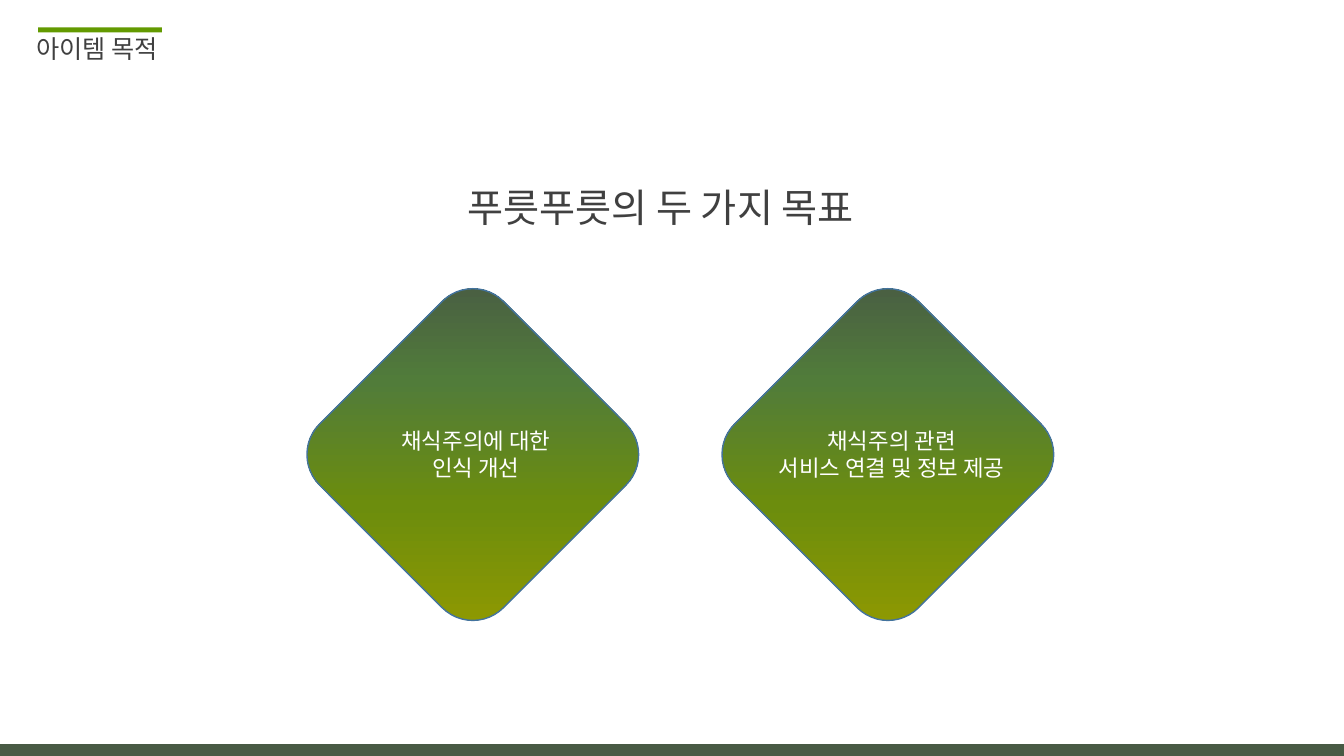
from dataclasses import dataclass
from typing import Any

from lxml import etree
from pptx import Presentation
from pptx.dml.color import RGBColor
from pptx.enum import shapes, text
from pptx.oxml import ns
from pptx.util import Cm, Pt


@dataclass(frozen=True)
class Theme:
    font: str = "Noto Sans CJK KR"
    ink: str = "404040"
    light: str = "FFFFFF"
    accent: str = "639A00"
    dark: str = "485A44"
    outline: str = "43739E"
    gradient: tuple[tuple[int, str], ...] = (
        (0, "929A00"), (36, "6C8D0D"), (70, "517C3A"), (100, "485A44"))
    title: int = 18
    heading: int = 28
    body: int = 16


@dataclass(frozen=True)
class Box:
    left: float
    top: float
    width: float
    height: float

    def emu(self) -> tuple[Cm, Cm, Cm, Cm]:
        return Cm(self.left), Cm(self.top), Cm(self.width), Cm(self.height)


@dataclass(frozen=True)
class Goal:
    left: float
    label: Box
    lines: tuple[str, ...]


THEME = Theme()
DIAMOND_TOP, DIAMOND_SIDE = 8.18, 6.55
BARS = (
    (Box(0.96, 0.69, 3.12, 0.13), THEME.accent),
    (Box(0, 18.75, 33.87, 0.3), THEME.dark),
)
GOALS = (
    Goal(8.64, Box(9.8, 10.64, 4.39, 1.63), ("채식주의에 대한", "인식 개선")),
    Goal(19.1, Box(19.18, 10.64, 6.58, 1.63), ("채식주의 관련", "서비스 연결 및 정보 제공")),
)


def write(sp: Any, *lines: str, size: int, color: str = THEME.ink,
          align: text.PP_ALIGN = text.PP_ALIGN.LEFT) -> None:
    tf = sp.text_frame
    tf.word_wrap = False
    tf.auto_size = text.MSO_AUTO_SIZE.SHAPE_TO_FIT_TEXT
    tf.vertical_anchor = text.MSO_ANCHOR.TOP
    for i, line in enumerate(lines):
        p = tf.add_paragraph() if i else tf.paragraphs[0]
        p.alignment = align
        r = p.add_run()
        r.text = line
        r.font.size = Pt(size)
        r.font.name = THEME.font
        r.font.color.rgb = RGBColor.from_string(color)
        ea = etree.SubElement(r.font._element, ns.qn("a:ea"))
        ea.set("typeface", THEME.font)


def add_bar(parent: Any, box: Box, color: str) -> None:
    sp = parent.add_shape(shapes.MSO_SHAPE.RECTANGLE, *box.emu())
    sp.shadow.inherit = False
    sp.fill.solid()
    sp.fill.fore_color.rgb = RGBColor.from_string(color)
    sp.line.fill.background()


def fill_gradient(sp: Any) -> None:
    sp.fill.gradient()
    sp.fill.gradient_angle = 135
    stops = sp._element.spPr.find(f".//{ns.qn('a:gsLst')}")
    for stop in list(stops):
        stops.remove(stop)
    for percent, color in THEME.gradient:
        stop = etree.SubElement(stops, ns.qn("a:gs"), pos=str(percent * 1000))
        etree.SubElement(stop, ns.qn("a:srgbClr"), val=color)


def add_goal(parent: Any, goal: Goal) -> None:
    group = parent.add_group_shape().shapes
    box = Box(goal.left, DIAMOND_TOP, DIAMOND_SIDE, DIAMOND_SIDE)
    sp = group.add_shape(shapes.MSO_SHAPE.ROUNDED_RECTANGLE, *box.emu())
    sp.rotation = 45
    sp.shadow.inherit = False
    fill_gradient(sp)
    sp.line.color.rgb = RGBColor.from_string(THEME.outline)
    sp.line.width = Pt(1)
    write(group.add_textbox(*goal.label.emu()), *goal.lines, size=THEME.body,
          color=THEME.light, align=text.PP_ALIGN.CENTER)


def main() -> None:
    prs = Presentation()
    prs.slide_width, prs.slide_height = Cm(33.87), Cm(19.05)
    s = prs.slides.add_slide(prs.slide_layouts[5])

    title = s.shapes.title
    title.left, title.top, title.width, title.height = Box(0.66, 0.71, 3.68, 1.02).emu()
    write(title, "아이템 목적", size=THEME.title)

    for box, color in BARS:
        add_bar(s.shapes, box, color)
    for goal in GOALS:
        add_goal(s.shapes, goal)
    heading = s.shapes.add_textbox(*Box(11.53, 4.5, 10.82, 1.45).emu())
    write(heading, "푸릇푸릇의 두 가지 목표", size=THEME.heading)

    prs.save("out.pptx")


if __name__ == "__main__":
    main()
